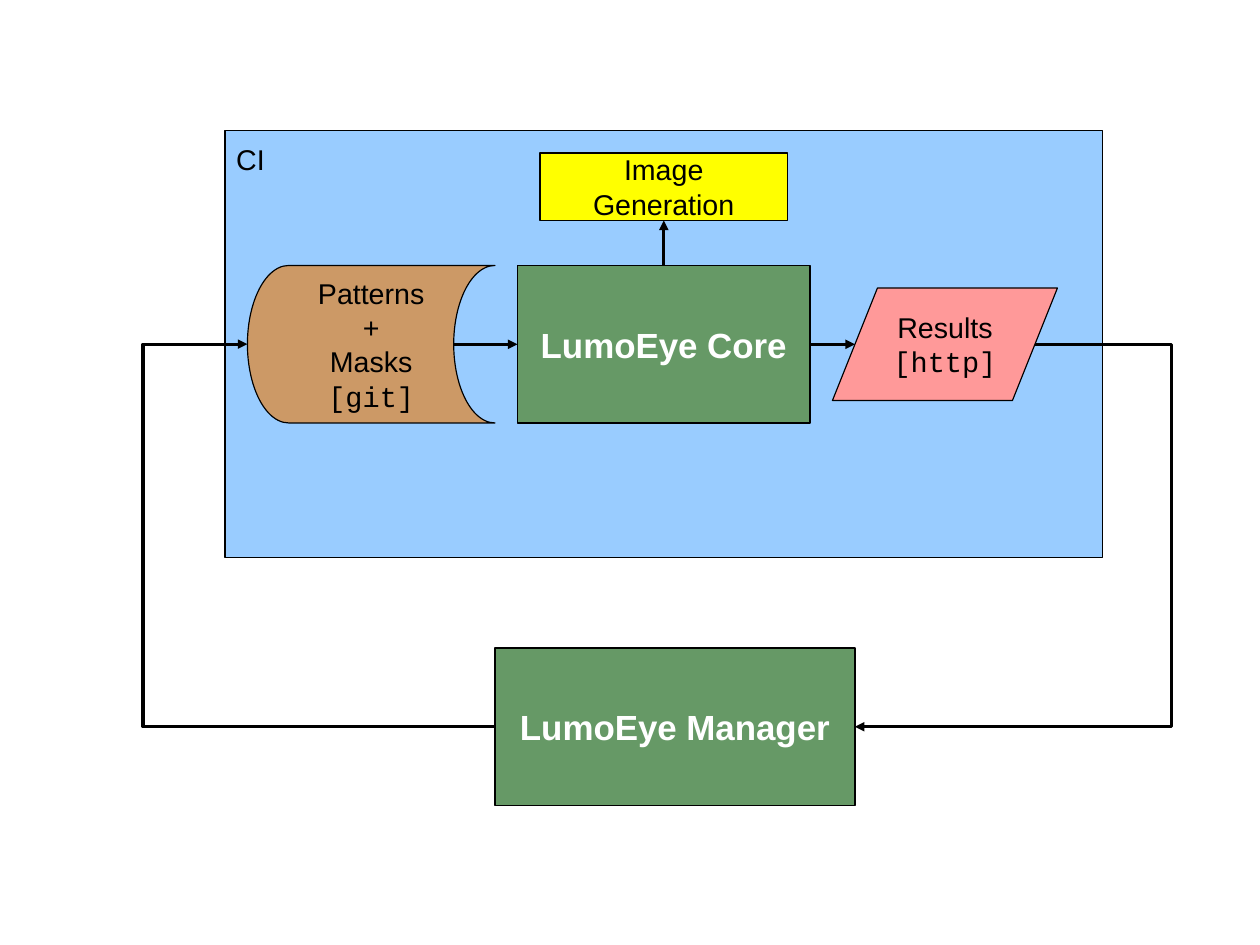
from lxml import etree
from pptx import Presentation
from pptx.dml.color import RGBColor
from pptx.enum import shapes, text
from pptx.oxml import ns
from pptx.util import Cm, Pt

BLACK, WHITE, GREEN = "000000", "FFFFFF", "669966"
SANS, MONO = "Arial", "Courier New"
FLOW_Y, MANAGER_Y = 7.65, 16.15


def color(value):
    return RGBColor.from_string(value)


def add_text(paragraph, content, font=SANS, size=18, text_color=BLACK, bold=False,
             align=text.PP_ALIGN.CENTER):
    paragraph.alignment = align
    run = paragraph.add_run()
    run.text = content
    run.font.name = font
    run.font.size = Pt(size)
    run.font.bold = bold
    run.font.color.rgb = color(text_color)


def style_line(line):
    line.color.rgb = color(BLACK)
    line.width = Pt(0)


def add_box(slide, kind, left, top, width, height, fill, lines, **text_format):
    """Add a filled shape; lines in square brackets are monospaced."""
    shape = slide.shapes.add_shape(kind, Cm(left), Cm(top), Cm(width), Cm(height))
    shape.shadow.inherit = False
    shape.fill.solid()
    shape.fill.fore_color.rgb = color(fill)
    style_line(shape.line)
    frame = shape.text_frame
    frame.word_wrap = True
    frame.vertical_anchor = text.MSO_ANCHOR.MIDDLE
    for index, content in enumerate(lines):
        paragraph = frame.add_paragraph() if index else frame.paragraphs[0]
        font = MONO if content.startswith("[") else SANS
        add_text(paragraph, content, font=font, **text_format)
    return shape


def add_arrow(slide, start, end, bend_x=None):
    """Add a straight arrow, or an elbow whose vertical part is at bend_x."""
    kind = shapes.MSO_CONNECTOR.STRAIGHT if bend_x is None else shapes.MSO_CONNECTOR.ELBOW
    connector = slide.shapes.add_connector(kind, *map(Cm, start + end))
    style_line(connector.line)
    properties = connector._element.spPr
    etree.SubElement(properties.find(ns.qn("a:ln")), ns.qn("a:tailEnd"), type="triangle")
    etree.SubElement(properties, ns.qn("a:effectLst"))
    if bend_x is not None:
        ratio = (bend_x - start[0]) / (end[0] - start[0])
        guides = properties.find(ns.qn("a:prstGeom")).get_or_add_avLst()
        etree.SubElement(guides, ns.qn("a:gd"), name="adj1",
                         fmla=f"val {round(ratio * 100000)}")


def add_boxes(slide):
    kinds = shapes.MSO_SHAPE
    process = kinds.FLOWCHART_PROCESS
    product = {"size": 22, "text_color": WHITE, "bold": True}

    ci = add_box(slide, kinds.RECTANGLE, 5, 2.9, 19.5, 9.5, "99CCFF", ["CI"],
                 align=text.PP_ALIGN.LEFT)
    ci.text_frame.vertical_anchor = text.MSO_ANCHOR.TOP
    ci.text_frame.margin_top = Cm(0.25)

    add_box(slide, process, 11.5, 5.9, 6.5, 3.5, GREEN, ["LumoEye Core"], **product)
    add_box(slide, process, 11, 14.4, 8, 3.5, GREEN, ["LumoEye Manager"], **product)
    add_box(slide, process, 12, 3.4, 5.5, 1.5, "FFFF00", ["Image Generation"])
    add_box(slide, kinds.FLOWCHART_STORED_DATA, 5.5, 5.9, 5.5, 3.5, "CC9966",
            ["Patterns", "+", "Masks", "[git]"])
    add_box(slide, kinds.FLOWCHART_DATA, 18.5, 6.4, 5, 2.5, "FF9999",
            ["Results", "[http]"])


def add_arrows(slide):
    add_arrow(slide, (10.08, FLOW_Y), (11.5, FLOW_Y))
    add_arrow(slide, (18, FLOW_Y), (19, FLOW_Y))
    add_arrow(slide, (14.75, 5.9), (14.75, 4.9))
    add_arrow(slide, (23, FLOW_Y), (19, MANAGER_Y), bend_x=26.04)
    add_arrow(slide, (11, MANAGER_Y), (5.5, FLOW_Y), bend_x=3.18)


def main():
    presentation = Presentation()
    presentation.slide_width, presentation.slide_height = Cm(28), Cm(21)
    slide = presentation.slides.add_slide(presentation.slide_layouts[6])
    add_boxes(slide)
    add_arrows(slide)
    presentation.save("out.pptx")


if __name__ == "__main__":
    main()
